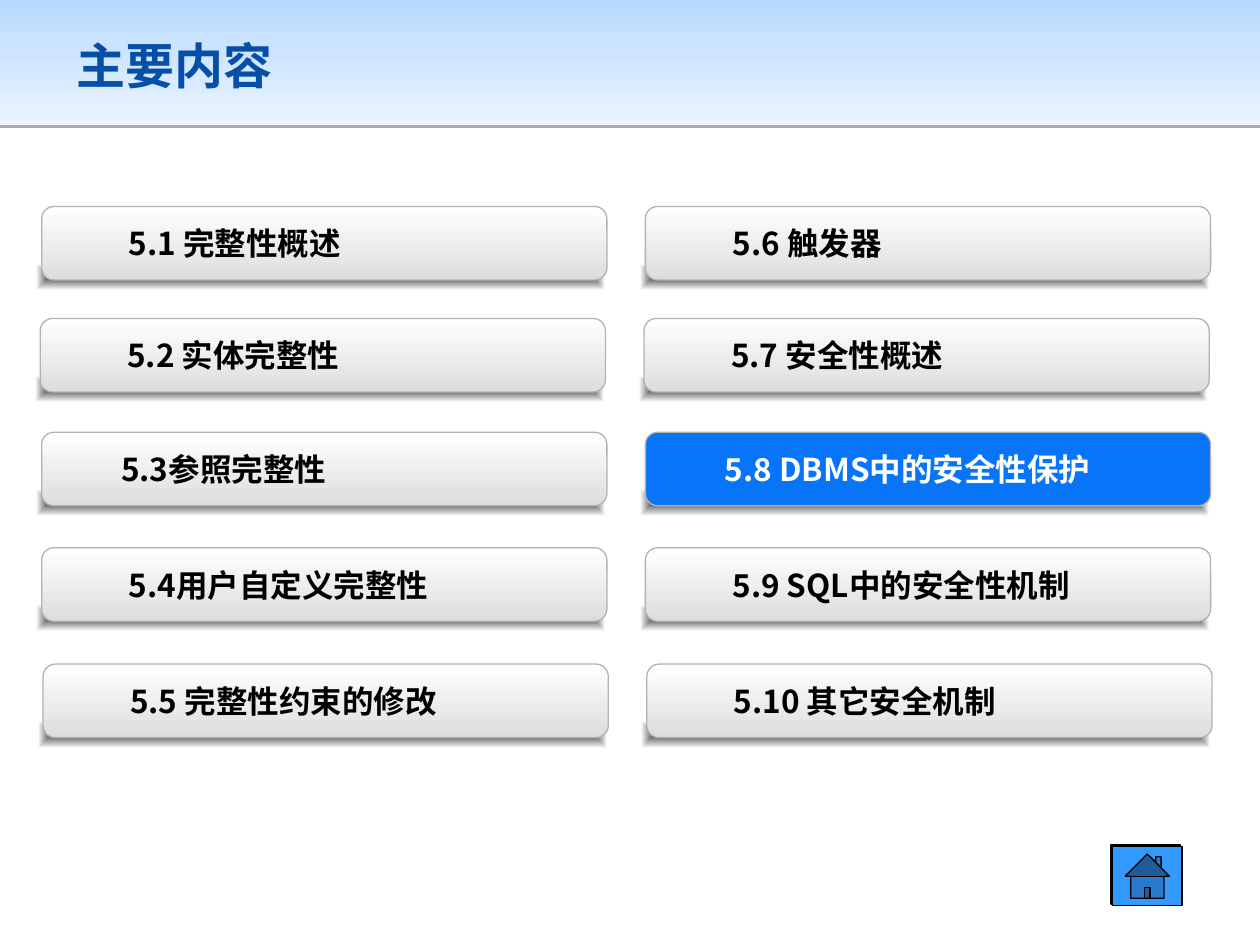
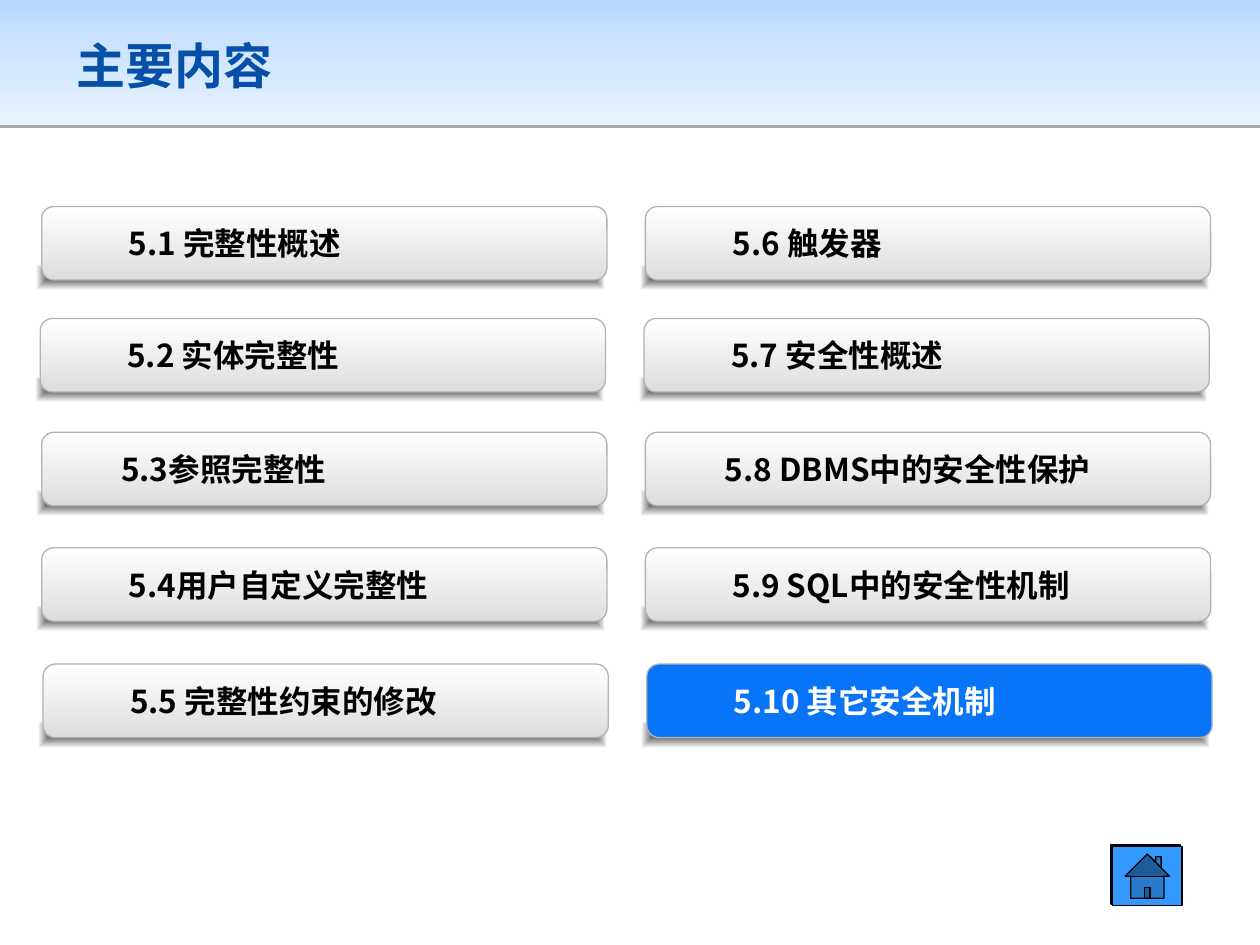
from lxml import etree
from pptx import Presentation
from pptx.dml.color import RGBColor
from pptx.enum.shapes import MSO_SHAPE
from pptx.enum.text import MSO_ANCHOR, PP_ALIGN
from pptx.oxml.ns import qn
from pptx.util import Pt

RECTANGLE = MSO_SHAPE.RECTANGLE
ROUNDED = MSO_SHAPE.ROUNDED_RECTANGLE
HOME_BUTTON = MSO_SHAPE.ACTION_BUTTON_HOME
MIDDLE = MSO_ANCHOR.MIDDLE
LEFT = PP_ALIGN.LEFT

COLORS = {
    "title": "054FA9", "black": "000000", "white": "FFFFFF",
    "band_top": "B7D9FF", "band_middle": "CBE3FF", "band_bottom": "E8F3FF",
    "bar_bottom": "DDDDDD", "bar_line": "B2B2B2", "highlight": "0875F8", "home": "3399FF",
}
EAST_ASIAN_FONT = "Noto Sans CJK SC"
TITLE_FORMAT = {"name": "Arial", "size": Pt(28), "bold": True}
ENTRY_FORMAT = {"name": EAST_ASIAN_FONT, "size": Pt(18), "bold": True}

BAND_STOPS = [(0, "band_top", 100), (35, "band_middle", 100), (100, "band_bottom", 100)]
BAR_STOPS = [(0, "white", 100), (100, "bar_bottom", 100)]
GLOW_STOPS = [(0, "black", 70), (100, "black", 0)]

COLUMNS = [
    ["5.1 完整性概述", "5.2 实体完整性", "5.3参照完整性", "5.4用户自定义完整性", "5.5 完整性约束的修改"],
    ["5.6 触发器", "5.7 安全性概述", "5.8 DBMS中的安全性保护", "5.9 SQL中的安全性机制", "5.10 其它安全机制"],
]
ROW_TOPS = [0, 64, 129, 195, 261.5]
ROW_SHIFTS = [0, -0.8, 0, 0, 0.8]
NARROW_INSET_ROW = 2
COLUMN_PITCH = 345
HIGHLIGHTS = ["5.8 DBMS中的安全性保护", "5.10 其它安全机制"]


def add_color(parent, color, opacity):
    """Append a colour with an opacity in percent to an XML element."""
    element = etree.SubElement(parent, qn("a:srgbClr"), val=COLORS[color])
    if opacity < 100:
        etree.SubElement(element, qn("a:alpha"), val=str(opacity * 1000))


def fill_gradient(shape, stops, from_center=False):
    """Fill a shape with a downward gradient, or one spreading from its centre."""
    shape.fill.background()
    properties = shape.element.spPr
    gradient = etree.Element(qn("a:gradFill"), rotWithShape="1")
    stop_list = etree.SubElement(gradient, qn("a:gsLst"))
    for position, color, opacity in stops:
        stop = etree.SubElement(stop_list, qn("a:gs"), pos=str(position * 1000))
        add_color(stop, color, opacity)
    if from_center:
        spread = etree.SubElement(gradient, qn("a:path"), {"path": "shape"})
        sides = dict.fromkeys("ltrb", "50000")
        etree.SubElement(spread, qn("a:fillToRect"), sides)
    else:
        etree.SubElement(gradient, qn("a:lin"), ang="5400000", scaled="0")
    properties.replace(properties.find(qn("a:noFill")), gradient)


def add_shadow(shape, opacity, distance, angle):
    """Give a shape a hard black shadow."""
    effects = shape.element.spPr.find(qn("a:effectLst"))
    shadow = etree.SubElement(
        effects, qn("a:outerShdw"), blurRad="0", dist=str(Pt(distance)),
        dir=str(angle * 60000), algn="ctr", rotWithShape="0")
    add_color(shadow, "black", opacity)


def add_plain_shape(slide, kind, box, fill=None, line=None):
    """Add a shape without shadow, with an optional solid fill and thin line."""
    shape = slide.shapes.add_shape(kind, *map(Pt, box))
    shape.shadow.inherit = False
    shape.fill.background()
    if fill:
        shape.fill.solid()
        shape.fill.fore_color.rgb = RGBColor.from_string(COLORS[fill])
    if line:
        shape.line.color.rgb = RGBColor.from_string(COLORS[line])
        shape.line.width = Pt(0.75)
    else:
        shape.line.fill.background()
    return shape


def write_text(shape, text, font_format, color, frame_format, indent=0):
    """Write one left-aligned, vertically centred line into a shape."""
    frame = shape.text_frame
    for name, value in {"vertical_anchor": MIDDLE, **frame_format}.items():
        setattr(frame, name, value)
    paragraph = frame.paragraphs[0]
    paragraph.alignment = LEFT
    if indent:
        properties = paragraph._p.get_or_add_pPr()
        properties.set("marL", str(Pt(indent)))
        properties.set("indent", "0")
    run = paragraph.add_run()
    run.text = text
    for name, value in font_format.items():
        setattr(run.font, name, value)
    run.font.color.rgb = RGBColor.from_string(COLORS[color])
    etree.SubElement(run.font._element, qn("a:ea"), typeface=EAST_ASIAN_FONT)


def add_header(slide, box, title):
    """Draw the title band and its title inside the box."""
    left, top, width, height = box
    band = add_plain_shape(slide, RECTANGLE, box)
    fill_gradient(band, BAND_STOPS)
    add_shadow(band, 33, 1.6, 90)
    title_box = (left + 36.7, top + 11.5, width - 73.4, height - 20.2)
    label = slide.shapes.add_textbox(*map(Pt, title_box))
    write_text(label, title, TITLE_FORMAT, "title", {"word_wrap": True})


def add_entry(slide, box, text, left_inset, highlighted):
    """Draw one contents bar with its soft shadow and label inside the box."""
    left, top, width, height = box
    glow = add_plain_shape(slide, RECTANGLE, (left - 2.7, top + 33.1, width + 1.4, 14.4))
    fill_gradient(glow, GLOW_STOPS, from_center=True)
    bar = add_plain_shape(slide, ROUNDED, box, "highlight", "bar_line")
    bar.adjustments[0] = 0.167
    if not highlighted:
        fill_gradient(bar, BAR_STOPS)
    label = add_plain_shape(slide, ROUNDED, (left + 2.4, top, width - 34.6, height))
    label.adjustments[0] = 0
    color = "white" if highlighted else "black"
    frame_format = {"word_wrap": False, "margin_left": Pt(left_inset)}
    write_text(label, text, ENTRY_FORMAT, color, frame_format, indent=36)


def add_contents(slide, box, highlight):
    """Lay out the contents bars in columns from the top left of the box."""
    left, top, bar_width, bar_height = box
    for column, entries in enumerate(COLUMNS):
        for row, text in enumerate(entries):
            bar_box = (left + column * COLUMN_PITCH + ROW_SHIFTS[row],
                       top + ROW_TOPS[row], bar_width, bar_height)
            left_inset = 7.2 if row == NARROW_INSET_ROW else 11.4
            add_entry(slide, bar_box, text, left_inset, text == highlight)


def add_home_button(slide, box):
    """Draw the home button in the box."""
    button = add_plain_shape(slide, HOME_BUTTON, box, "home", "black")
    add_shadow(button, 100, 1.4, 225)


def add_contents_slide(presentation, highlight):
    """Add one contents slide with the given entry highlighted."""
    slide = presentation.slides.add_slide(presentation.slide_layouts[6])
    add_header(slide, (0, 0, 720, 71.3), "主要内容")
    add_contents(slide, (23.8, 118, 323, 42), highlight)
    add_home_button(slide, (635.8, 483.8, 39.6, 33.8))


def main():
    """Build and save the presentation."""
    presentation = Presentation()
    presentation.slide_width, presentation.slide_height = Pt(720), Pt(540)
    for highlight in HIGHLIGHTS:
        add_contents_slide(presentation, highlight)
    presentation.save("out.pptx")


if __name__ == "__main__":
    main()
